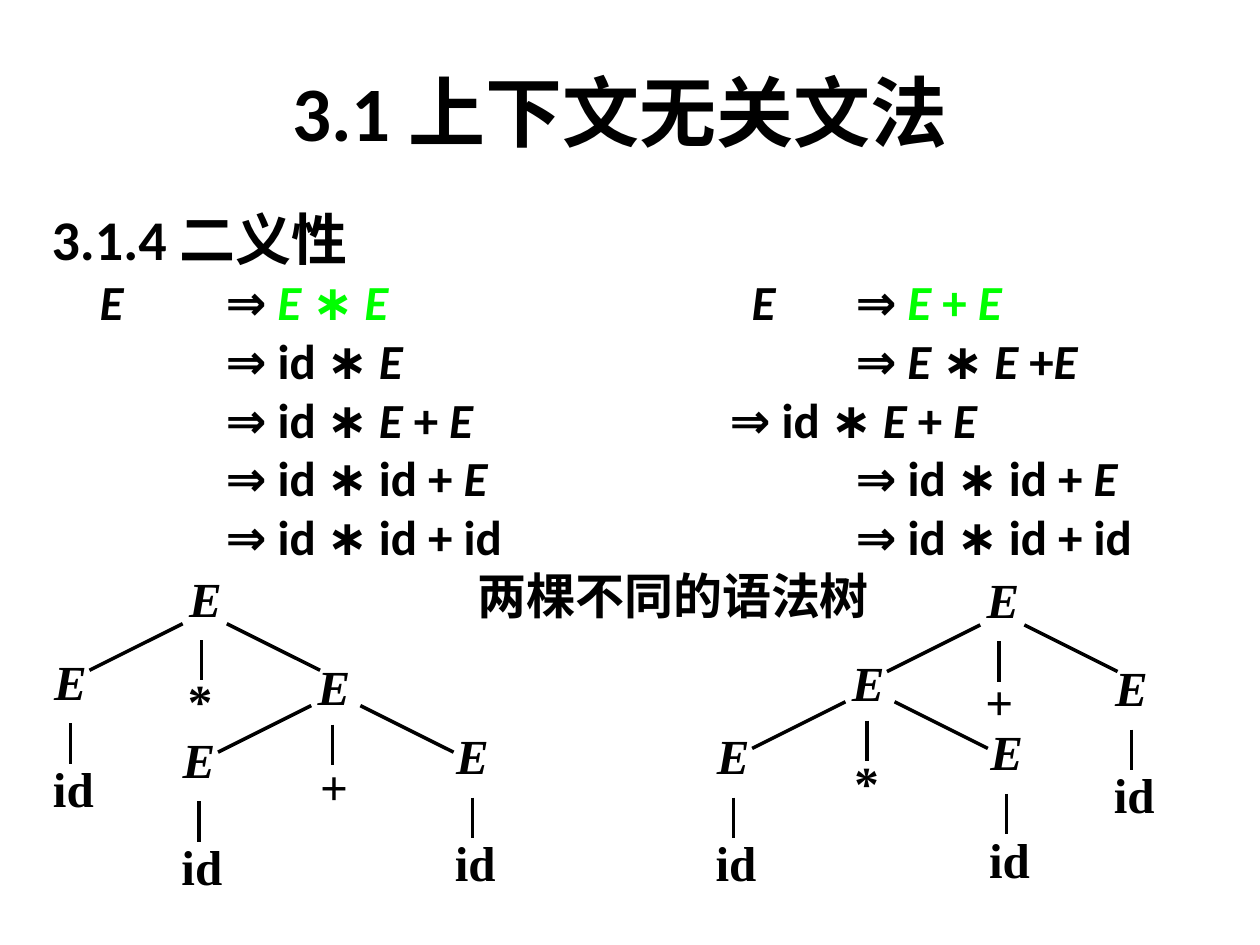
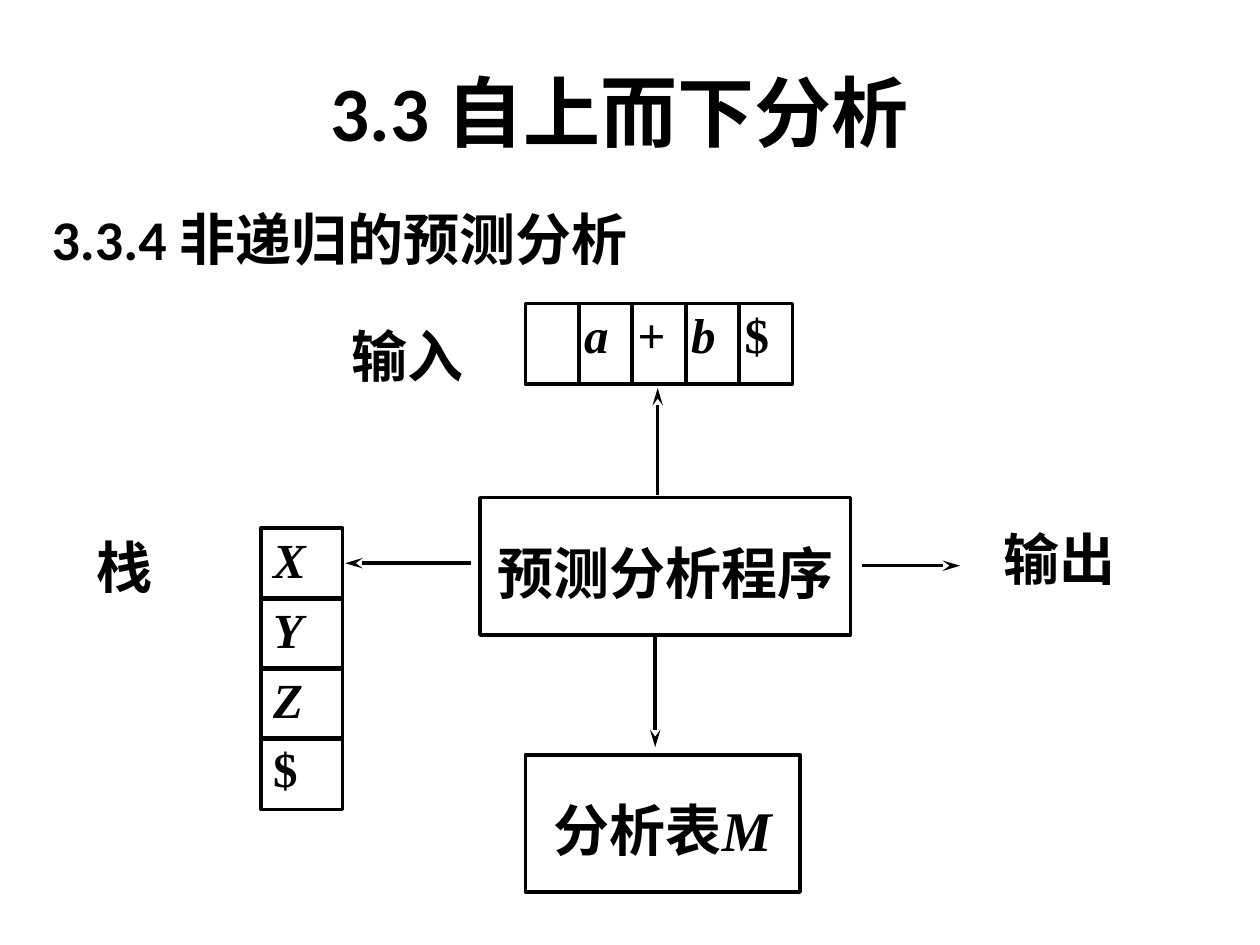
from itertools import groupby

from lxml import etree
from pptx import Presentation, util as u
from pptx.dml.color import RGBColor
from pptx.enum import shapes, text
from pptx.oxml.ns import qn

INK, GREEN = "000000", "00FF00"
SANS, SERIF, HAN = "Calibri", "Times New Roman", "Noto Sans CJK SC"
VARS = "EabXYZM"
LEFT, MID = text.PP_ALIGN.JUSTIFY, text.PP_ALIGN.CENTER
TIGHT, CELL = (0.02, 0.01, 0.02, 0.01), (0.04, 0.01, 0.02, 0.01)
STACK, PANEL = (0.1, 0.01, 0.1, 0.05), (0.1, 0.11, 0.1, 0.05)
PAD = (0.1, 0.05, 0.1, 0.05)
STEPS = [
    [(1, "E", INK), (1, "⇒ ", INK), (0, "E ∗ E", GREEN),
     (3, " ", INK), (0, "E", INK), (1, "⇒ ", INK), (0, "E + E", GREEN)],
    [(2, "⇒ id ∗ E", INK), (4, "⇒ E ∗ E +E", INK)],
    [(2, "⇒ id ∗ E + E", INK), (3, "⇒ id ∗ E + E", INK)],
    [(2, "⇒ id ∗ id + E", INK), (3, "⇒ id ∗ id + E", INK)],
    [(2, "⇒ id ∗ id + id", INK), (3, "⇒ id ∗ id + id", INK)],
    [(4, "两棵不同的语法树", INK)],
]
ROOT = dict(fork=0.45, right=0.32, stem=(0.12, 0.58), op=(-0.01, 0.81),
            kids=((-1.07, 0.66), (1.02, 0.7)))
INNER = dict(fork=0.4, right=0.36, stem=(0.14, 0.55), op=(0.02, 0.79),
             kids=((-1.07, 0.58), (1.1, 0.55)))


def tint(code):
    """Turn a hex string into a colour."""
    return RGBColor.from_string(code)


def say(para, words, size=28, face=SERIF, east=SANS, color=INK, gap=0):
    """Add bold runs to a paragraph, with grammar variables in italics."""
    for slant, part in groupby(words, lambda c: c in VARS):
        run = para.add_run()
        run.text = "".join(part)
        font = run.font
        font.size, font.name, font.bold, font.italic = u.Pt(size), face, True, slant
        font.color.rgb = tint(color)
        props = run._r.get_or_add_rPr()
        etree.SubElement(props, qn("a:ea")).set("typeface", east)
        if gap:
            props.set("spc", str(gap))


def plain(para):
    """Give a paragraph a hanging indent, one-inch tabs and no bullet."""
    para.space_before = u.Pt(0)
    props = para._p.get_or_add_pPr()
    props.set("marL", str(u.Inches(0.38)))
    props.set("indent", str(u.Inches(-0.38)))
    props.set("defTabSz", str(u.Inches(1)))
    etree.SubElement(props, qn("a:buNone"))


def head(para, num, name, size, east=SANS):
    """Write a section number and a section name."""
    say(para, num + " ", size=size, face=SANS)
    say(para, name, size=size, face=east, east=east)


def place(item, x, y, w, h):
    """Move and size an item on the grid of inches."""
    item.left, item.top, item.width, item.height = map(u.Inches, (x, y, w, h))


def page(deck, num, name, part, topic, east=SANS):
    """Add a slide with title and section heading; return it and its body."""
    slide = deck.slides.add_slide(deck.slide_layouts[1])
    title, body = slide.placeholders
    place(title, 0.67, 0.25, 8.5, 1.25)
    place(body, 0.31, 1.57, 9.37, 5.51)
    for item in (title, body):
        item.text_frame.auto_size = text.MSO_AUTO_SIZE.NONE
    para = title.text_frame.paragraphs[0]
    para.alignment = MID
    head(para, num, name, 44, east)
    frame = body.text_frame
    plain(frame.paragraphs[0])
    head(frame.paragraphs[0], part, topic, 32)
    return slide, frame


def fill(item, words, pad, size=28, align=LEFT, lead=None):
    """Put one top-anchored paragraph into a shape."""
    frame = item.text_frame
    frame.word_wrap = True
    frame.vertical_anchor = text.MSO_ANCHOR.TOP
    (frame.margin_left, frame.margin_top,
     frame.margin_right, frame.margin_bottom) = map(u.Inches, pad)
    para = frame.paragraphs[0]
    para.alignment = align
    if lead:
        para.line_spacing = lead
    say(para, words, size=size)


def label(slide, words, x, y, w=0.51, h=0.55, pad=TIGHT, size=28):
    """Add a text box."""
    item = slide.shapes.add_textbox(*map(u.Inches, (x, y, w, h)))
    fill(item, words, pad, size)


def box(slide, words, x, y, w, h, pad, **form):
    """Add an outlined box with text."""
    item = slide.shapes.add_shape(shapes.MSO_SHAPE.RECTANGLE,
                                  *map(u.Inches, (x, y, w, h)))
    item.shadow.inherit = False
    item.fill.background()
    item.line.color.rgb = tint(INK)
    item.line.width = u.Pt(2)
    fill(item, words, pad, **form)


def line(slide, x, y, dx, dy, arrow=False):
    """Draw a line from a point by an offset."""
    item = slide.shapes.add_connector(shapes.MSO_CONNECTOR.STRAIGHT,
                                      *map(u.Inches, (x, y, x + dx, y + dy)))
    item.line.color.rgb = tint(INK)
    item.line.width = u.Pt(2)
    if arrow:
        etree.SubElement(item.line._get_or_add_ln(), qn("a:tailEnd"),
                         type="stealth", len="lg")
    etree.SubElement(item._element.spPr, qn("a:effectLst"))


def grow(slide, tree, x, y, form=ROOT):
    """Draw a syntax tree: a leaf string or (operator, left, right)."""
    label(slide, "E", x, y)
    if isinstance(tree, str):
        line(slide, x + 0.15, y + 0.58, 0, 0.32)
        label(slide, tree, x - 0.01, y + 0.85)
        return
    sign, *kids = tree
    line(slide, x - 0.03, y + form["fork"], -0.74, 0.37)
    line(slide, x + form["right"], y + form["fork"], 0.74, 0.37)
    line(slide, x + form["stem"][0], y + form["stem"][1], 0, 0.32)
    label(slide, sign, x + form["op"][0], y + form["op"][1])
    for kid, (dx, dy) in zip(kids, form["kids"]):
        grow(slide, kid, x + dx, y + dy, INNER)


def derive(frame):
    """Write the two derivations side by side."""
    for step in STEPS:
        para = frame.add_paragraph()
        plain(para)
        para.alignment = LEFT
        for tabs, words, color in step:
            if tabs:
                say(para, "\t" * tabs, face=SANS)
            say(para, words, face=SANS, color=color, gap=633 if words == " " else 0)


def parser(slide):
    """Draw the model of the predictive parser."""
    for col, sign in enumerate(["", "a", "+", "b", "$"]):
        box(slide, sign, 4.17 + 0.425 * col, 2.41, 0.42, 0.64, CELL)
    for row, sign in enumerate("XYZ$"):
        box(slide, sign, 2.07, 4.19 + 0.555 * row, 0.65, 0.57, STACK)
    for words, x, y, w in (("预测分析程序", 3.81, 3.95, 2.94),
                           ("分析表M", 4.17, 5.99, 2.18)):
        box(slide, words, x, y, w, 1.09, PANEL, size=32, align=MID, lead=1.4)
    for words, x, y in (("输入", 2.69, 2.5), ("输出", 7.87, 4.11), ("栈", 0.67, 4.18)):
        label(slide, words, x, y, 1.14, 0.72, PAD, 32)
    for x, y, dx, dy in ((5.22, 3.93, 0, -0.85), (5.2, 5.03, 0, 0.9),
                         (6.84, 4.49, 0.78, 0), (3.74, 4.47, -1, 0)):
        line(slide, x, y, dx, dy, arrow=True)


def main():
    """Build both slides."""
    deck = Presentation()
    deck.slide_width, deck.slide_height = u.Inches(10), u.Inches(7.5)
    slide, frame = page(deck, "3.1", "上下文无关文法", "3.1.4", "二义性")
    derive(frame)
    grow(slide, ("*", "id", ("+", "id", "id")), 1.48, 4.5)
    grow(slide, ("+", ("*", "id", "id"), "id"), 7.81, 4.51)
    slide, _ = page(deck, "3.3", "自上而下分析", "3.3.4", "非递归的预测分析", HAN)
    parser(slide)
    deck.save("out.pptx")


if __name__ == "__main__":
    main()
